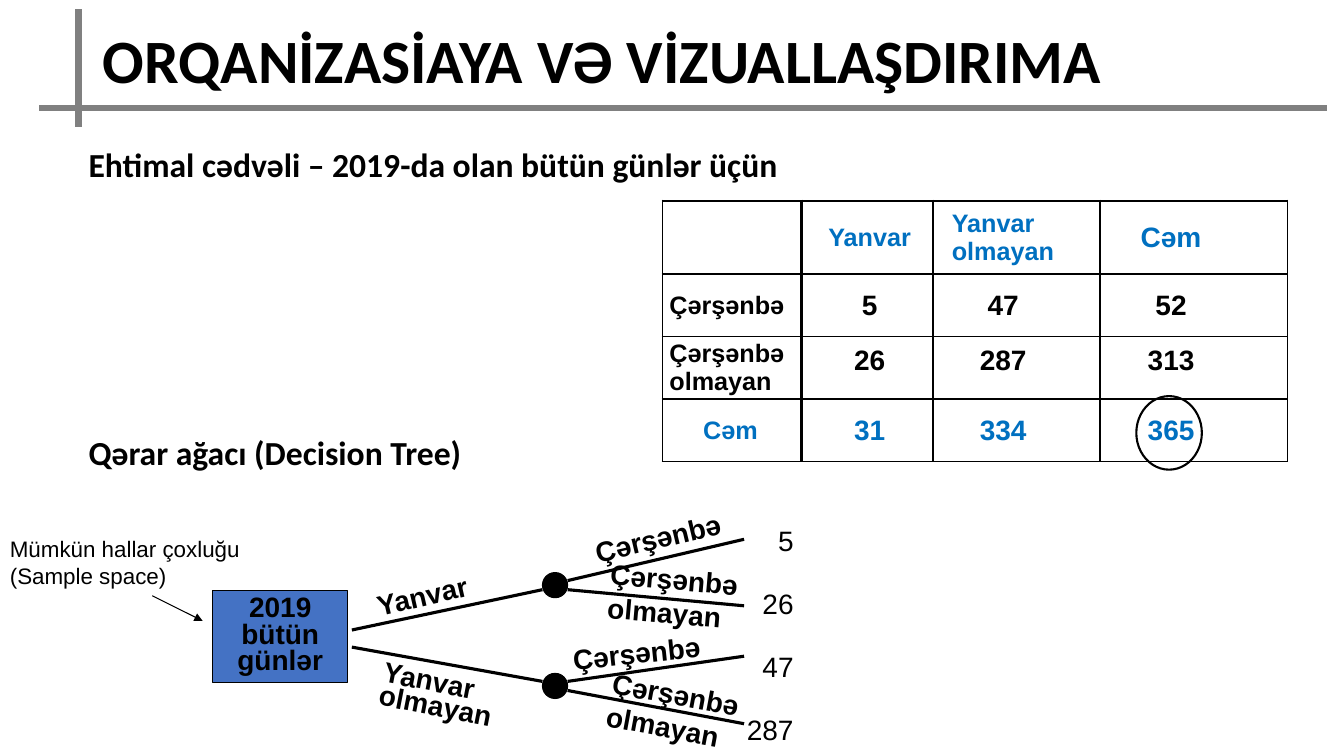
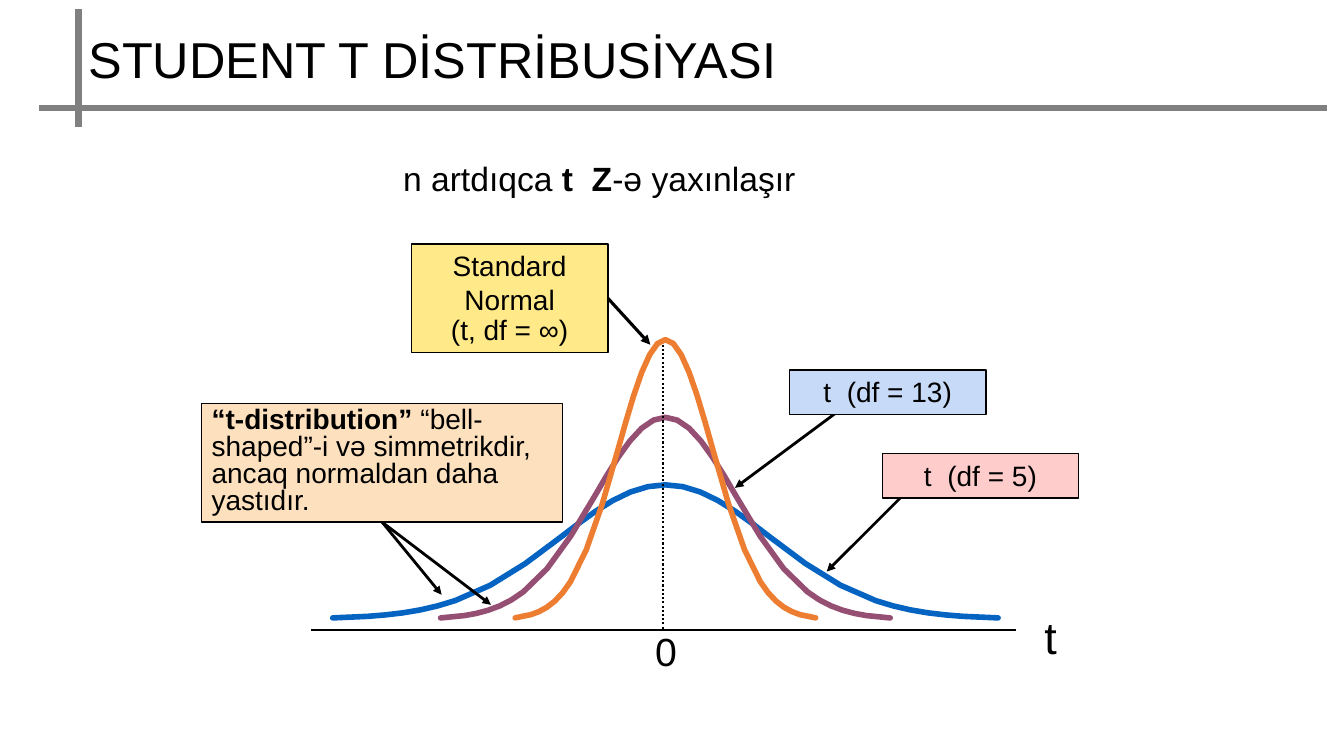
from math import exp

from lxml.etree import SubElement
from pptx import Presentation
from pptx.dml.color import RGBColor
from pptx.enum.dml import MSO_LINE_DASH_STYLE as Dash
from pptx.enum.shapes import MSO_CONNECTOR as Connector, MSO_SHAPE as Preset
from pptx.enum.text import MSO_ANCHOR as Anchor, PP_ALIGN as Align
from pptx.oxml.ns import qn
from pptx.util import Inches, Pt

BLACK, GREY, BLUE = "000000", "808080", "0070C0"
BOTTOM, RIGHT = 2, 3


def color(value):
    return RGBColor.from_string(value)


class Deck:
    """The shared style and the page being drawn."""

    def __init__(self):
        self.deck = Presentation()
        self.deck.slide_width, self.deck.slide_height = Inches(13.33), Inches(7.5)
        self.page = None

    def new_page(self):
        self.page = self.deck.slides.add_slide(self.deck.slide_layouts[6])
        self.line((0.39, 1.07), (13.16, 1.07), 4.5, GREY)
        self.line((0.78, 0.09), (0.78, 1.26), 4.5, GREY)

    def style(self, span, size, bold, ink, font):
        span.font.size, span.font.bold, span.font.name = Pt(size), bold, font
        span.font.color.rgb = color(ink)

    def set_text(self, frame, text, size=20, bold=False, ink=BLACK, font="Arial",
                 align=Align.LEFT, spacing=None):
        frame.text = text
        for para in frame.paragraphs:
            para.alignment = align
            if spacing:
                para.line_spacing = spacing
            for span in para.runs:
                self.style(span, size, bold, ink, font)

    def add_span(self, box, text, size, bold=False):
        span = box.text_frame.paragraphs[0].add_run()
        span.text = text
        self.style(span, size, bold, BLACK, "Arial")

    def text(self, area, text, turn=0, wrap=True, **style):
        box = self.page.shapes.add_textbox(*map(Inches, area))
        box.rotation = turn
        box.text_frame.word_wrap = wrap
        self.set_text(box.text_frame, text, **style)
        return box

    def shape(self, preset, area, fill=None, width=1):
        shape = self.page.shapes.add_shape(preset, *map(Inches, area))
        self.outline(shape, BLACK, width)
        if fill:
            shape.fill.solid()
            shape.fill.fore_color.rgb = color(fill)
        return shape

    def outline(self, shape, ink, width):
        shape.shadow.inherit = False
        shape.fill.background()
        shape.line.color.rgb = color(ink)
        shape.line.width = Pt(width)

    def label(self, area, text, fill, **style):
        box = self.shape(Preset.RECTANGLE, area, fill)
        box.text_frame.word_wrap = True
        box.text_frame.vertical_anchor = Anchor.TOP
        self.set_text(box.text_frame, text, **{"align": Align.CENTER, **style})
        return box

    def line(self, start, end, width, ink=BLACK, arrow=False, dash=None):
        """Start is a point, or a shape with the number of its side."""
        joined = not isinstance(start[0], (int, float))
        first = end if joined else start
        line = self.page.shapes.add_connector(
            Connector.STRAIGHT, *map(Inches, (*first, *end)))
        if joined:
            line.begin_connect(*start)
        line.line.color.rgb = color(ink)
        line.line.width = Pt(width)
        if dash:
            line.line.dash_style = dash
        properties = line._element.spPr
        if arrow:
            SubElement(properties.find(qn("a:ln")), qn("a:tailEnd"), type="triangle")
        SubElement(properties, qn("a:effectLst"))

    def bell(self, center, base, half_width, height, ink):
        steps = (0, 1, 2, 3, 4, 5, 6, 8, 10, 12, 13, 14, 15, 16, 17, 19)
        sides = [-step / 19 for step in reversed(steps)] + [step / 19 for step in steps[1:]]
        low = exp(-5)
        points = [(Inches(center + half_width * x),
                   Inches(base - height * (exp(-5 * x * x) - low) / (1 - low)))
                  for x in sides]
        builder = self.page.shapes.build_freeform(*points[0])
        builder.add_line_segments(points[1:], close=False)
        curve = builder.convert_to_shape()
        self.outline(curve, ink, 4)
        curve._element.spPr.find(qn("a:ln")).set("cap", "rnd")

    def borders(self, cell, widths):
        properties = cell._tc.get_or_add_tcPr()
        for index, (side, width) in enumerate(zip("LRTB", widths)):
            border = SubElement(properties, qn(f"a:ln{side}"), w=str(Pt(width)))
            fill = SubElement(border, qn("a:solidFill"))
            SubElement(fill, qn("a:srgbClr"), val=BLACK)
            properties.insert(index, border)

    def table(self, left, top, columns, rows, content, margins, verticals, horizontals):
        table = self.page.shapes.add_table(
            len(rows), len(columns), Inches(left), Inches(top),
            Inches(sum(columns)), Inches(sum(rows))).table
        table.first_row = table.horz_banding = False
        for column, width in zip(table.columns, columns):
            column.width = Inches(width)
        for row, height in zip(table.rows, rows):
            row.height = Inches(height)
        for r, values in enumerate(content):
            for c, value in enumerate(values):
                cell = table.cell(r, c)
                cell.fill.background()
                cell.vertical_anchor = Anchor.MIDDLE
                cell.margin_left, cell.margin_right = map(Inches, margins[c])
                cell.margin_top = cell.margin_bottom = 0
                named = value.startswith(("Yanvar", "Çərşənbə"))
                left_aligned = named and (c == 0 or " " in value)
                self.set_text(cell.text_frame, value, bold=True,
                              size=18 if named or c == 0 else 20,
                              ink=BLUE if r in (0, len(rows) - 1) else BLACK,
                              align=Align.LEFT if left_aligned else Align.CENTER)
                self.borders(cell, (*verticals[c:c + 2], *horizontals[r:r + 2]))
        return table


def probability_page(deck):
    deck.new_page()
    heading = {"bold": True, "font": "Calibri"}
    deck.text((0.92, 0.17, 11.98, 0.84), "ORQANİZASİAYA VƏ VİZUALLAŞDIRIMA",
              size=44, **heading)
    deck.text((0.78, 1.38, 11.64, 0.5),
              "Ehtimal cədvəli – 2019-da olan bütün günlər üçün", size=24, **heading)
    deck.text((0.78, 4.24, 4.02, 0.5), "Qərar ağacı (Decision Tree)", size=24, **heading)

    # Probability table with the grand total circled
    table = deck.table(
        6.57, 1.99, (1.38, 1.3, 1.66, 1.86), (0.73, 0.62, 0.62, 0.62),
        (("", "Yanvar", "Yanvar olmayan", "Cəm"),
         ("Çərşənbə", "5", "47", "52"),
         ("Çərşənbə olmayan", "26", "287", "313"),
         ("Cəm", "31", "334", "365")),
        margins=((0.07, 0.1), (0.1, 0.05), (0.19, 0.45), (0.05, 0.5)),
        verticals=(1.5, 2.25, 1.5, 2.25, 1.5), horizontals=(1.5, 2, 0.75, 2, 1.5))
    for column in (1, 2, 3):
        table.cell(2, column).margin_bottom = Inches(0.14)
    deck.shape(Preset.OVAL, (11.27, 3.93, 0.65, 0.73), width=1.5)

    # Decision tree
    deck.label((2.11, 5.86, 1.34, 0.91), "2019 bütün günlər", "4472C4",
               bold=True, spacing=0.8)
    for start, end in (((3.49, 6.25), (5.38, 5.85)), ((3.49, 6.42), (5.38, 6.76)),
                       ((5.63, 5.76), (7.38, 5.35)), ((5.63, 5.85), (7.38, 6.01)),
                       ((5.63, 6.76), (7.38, 6.51)), ((5.63, 6.85), (7.38, 7.18))):
        deck.line(start, end, 2.25)
    for top in (5.68, 6.68):
        deck.shape(Preset.OVAL, (5.38, top, 0.25, 0.25), BLACK, 0.75)
    for area, turn, text, spacing in (
            ((3.63, 5.68, 1.75, 0.36), -13.1, "Yanvar", 0.8),
            ((3.67, 6.66, 1.58, 0.57), 11.1, "Yanvar olmayan", 0.7),
            ((5.79, 5.1, 1.6, 0.43), -13.5, "Çərşənbə", None),
            ((5.94, 5.54, 1.78, 0.77), 4.9, "Çərşənbə olmayan", None),
            ((5.58, 6.25, 1.63, 0.43), -5.9, "Çərşənbə", None),
            ((5.94, 6.67, 1.49, 0.77), 10.6, "Çərşənbə olmayan", None)):
        deck.text(area, text, turn, bold=True, spacing=spacing)
    counts = deck.text((7.3, 5.01, 0.67, 2.49), "5\n26\n47\n287",
                       align=Align.RIGHT, spacing=1.4)
    for para in counts.text_frame.paragraphs[1:]:
        para.space_before = Pt(11.5)

    # Sample space note
    deck.text((0, 5.26, 2.63, 0.64), "Mümkün hallar çoxluğu\n(Sample space)", size=16)
    deck.line((1.51, 5.91), (2.01, 6.16), 0.75, arrow=True)


def distribution_page(deck):
    deck.new_page()
    deck.text((0.78, 0.23, 11.77, 0.71), "STUDENT T DİSTRİBUSİYASI", size=36)
    message = deck.text((3.9, 1.52, 4.13, 0.5), "n artdıqca ", wrap=False, size=24)
    deck.add_span(message, "t  Z", 24, bold=True)
    deck.add_span(message, "-ə yaxınlaşır", 24)

    # Curves, axis and center line
    for half_width, height, ink in ((3.3, 1.32, "0563C1"), (2.23, 1.99, "954F72")):
        deck.bell(6.6, 6.13, half_width, height, ink)
    deck.line((6.58, 3.42), (6.58, 6.25), 1.5, dash=Dash.ROUND_DOT)
    deck.bell(6.6, 6.13, 1.49, 2.76, "ED7D31")
    deck.line((3.08, 6.25), (10.08, 6.25), 1.5)
    deck.text((10.26, 6, 0.32, 0.64), "t", wrap=False, size=32)
    deck.text((6.17, 6.17, 0.87, 0.56), "0", size=28, align=Align.CENTER)

    # Curve labels with their arrows
    deck.line((8.95, 4.92), (8.2, 5.67), 2, arrow=True)
    deck.label((8.75, 4.5, 1.95, 0.44), "t  (df = 5)", "FFCCCC")
    deck.line((8.3, 4.09), (7.29, 4.84), 2, arrow=True)
    deck.label((7.83, 3.67, 1.95, 0.44), "t  (df = 13)", "C7DAF7")
    normal = deck.label((4.08, 2.42, 1.95, 1.08), "Standard Normal\n(t, df = ∞)", "FFE989")
    condition = normal.text_frame.paragraphs[1]
    condition.line_spacing, condition.space_before = 0.3, Pt(11.5)
    deck.line((normal, RIGHT), (6.45, 3.42), 2.25, arrow=True)

    # Note on the shape of the curves
    note = deck.label((2, 4, 3.58, 1.18), "“t-distribution” ", "FDE0BD",
                      bold=True, align=Align.LEFT, spacing=0.8)
    deck.add_span(note, "“bell-shaped”-i və simmetrikdir, ancaq normaldan daha yastıdır.", 20)
    for tip in ((4.87, 6), (4.38, 5.9)):
        deck.line((note, BOTTOM), tip, 2, arrow=True)


def main():
    deck = Deck()
    probability_page(deck)
    distribution_page(deck)
    deck.deck.save("out.pptx")


if __name__ == "__main__":
    main()
